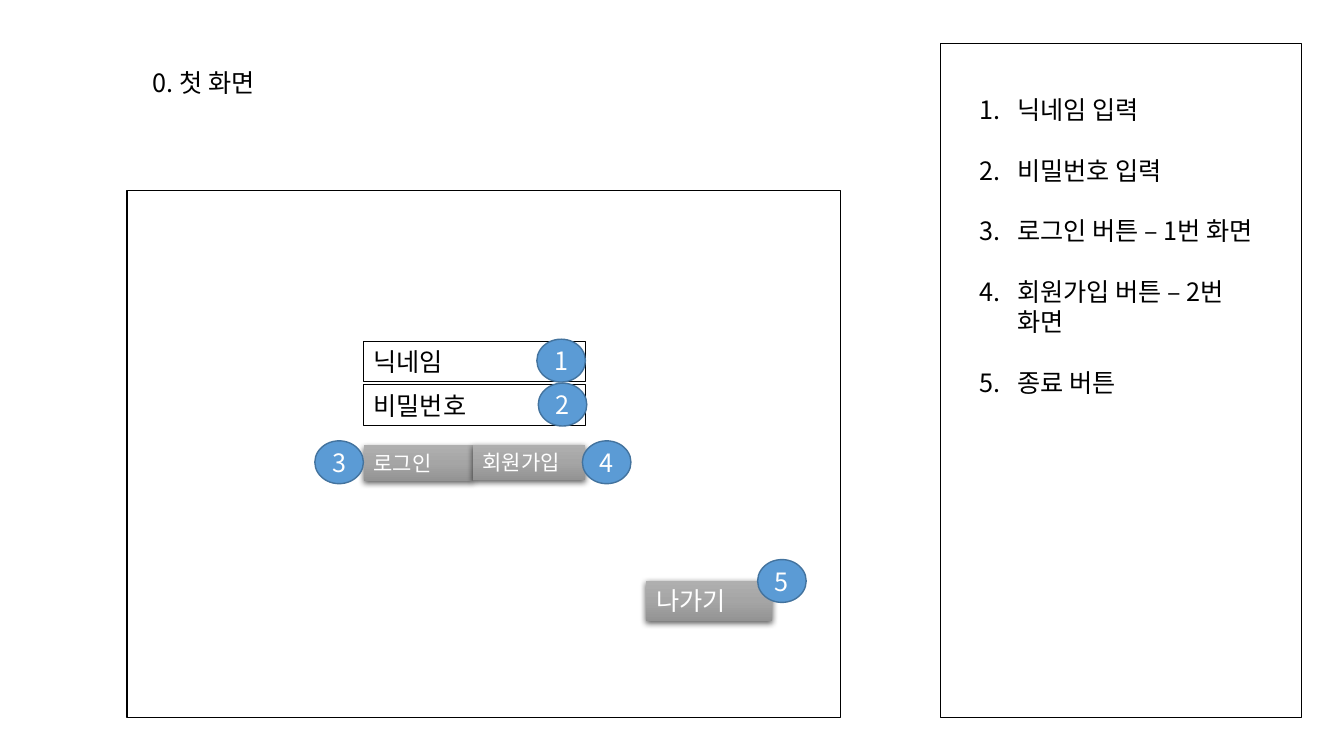
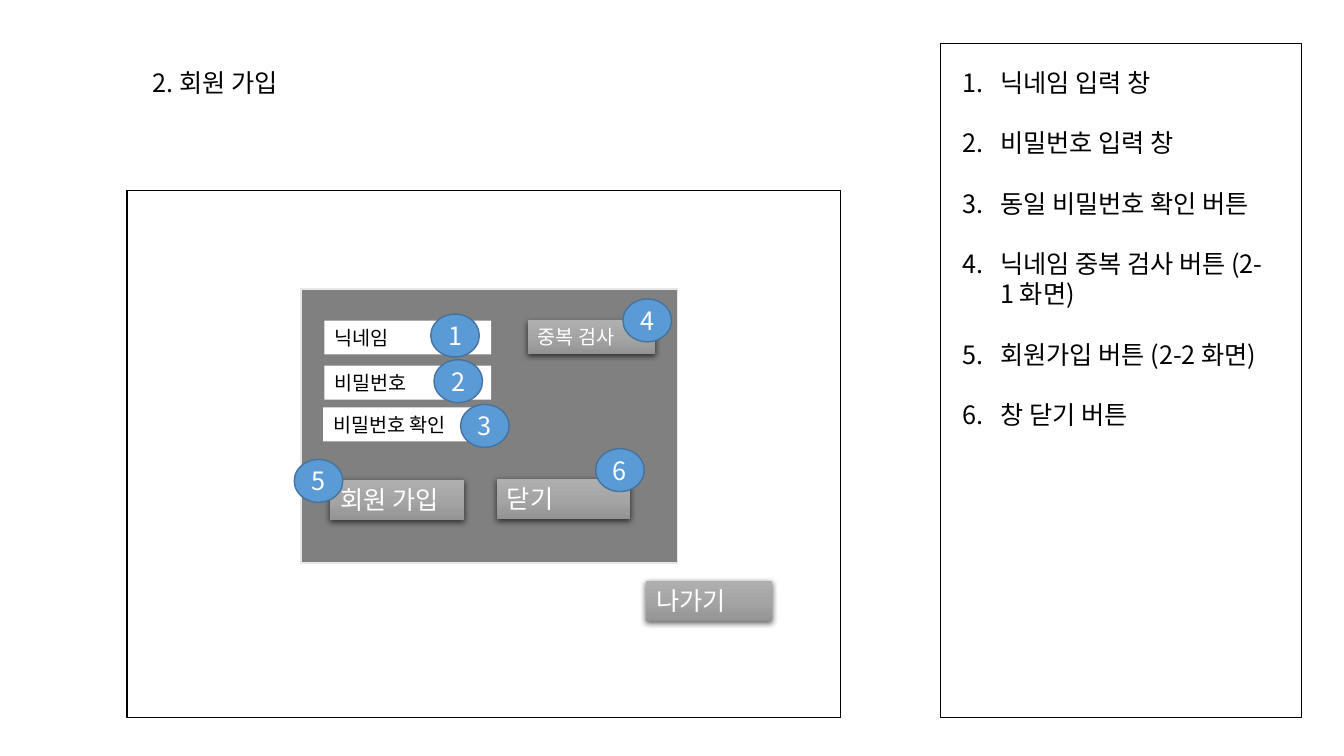
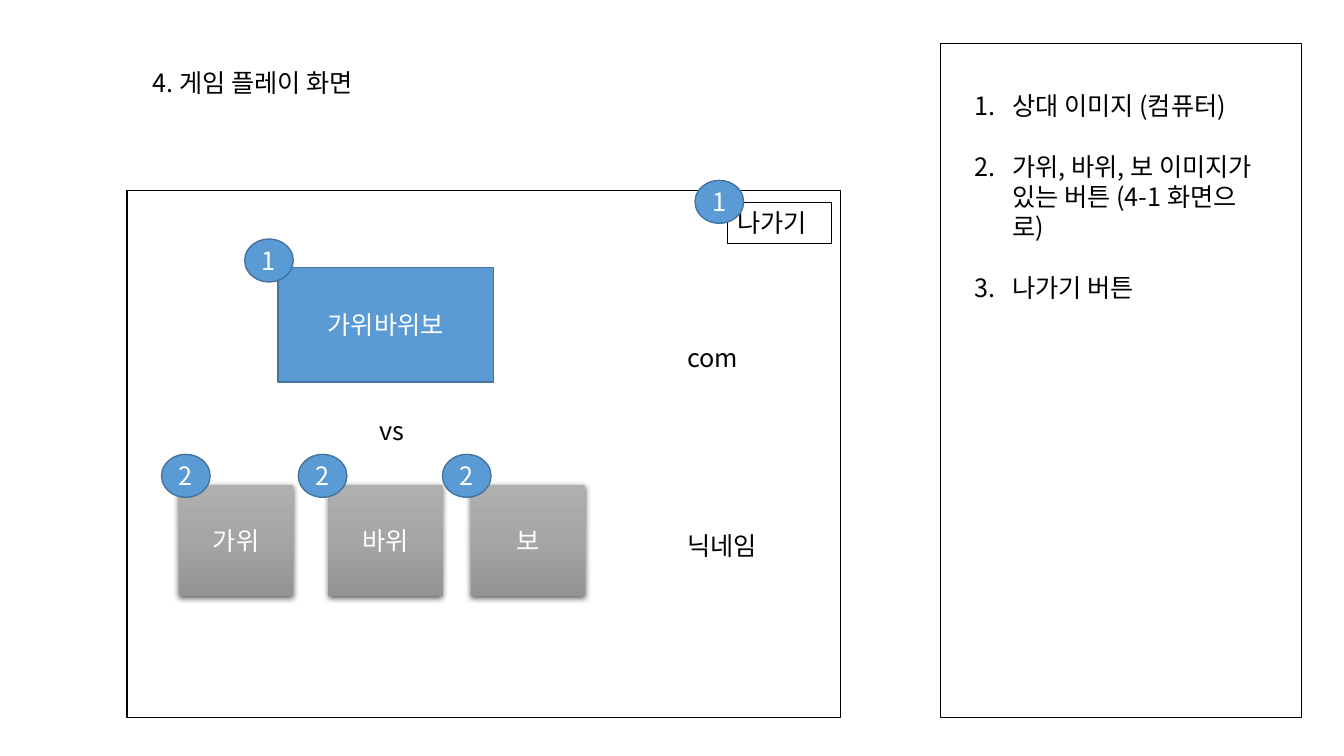
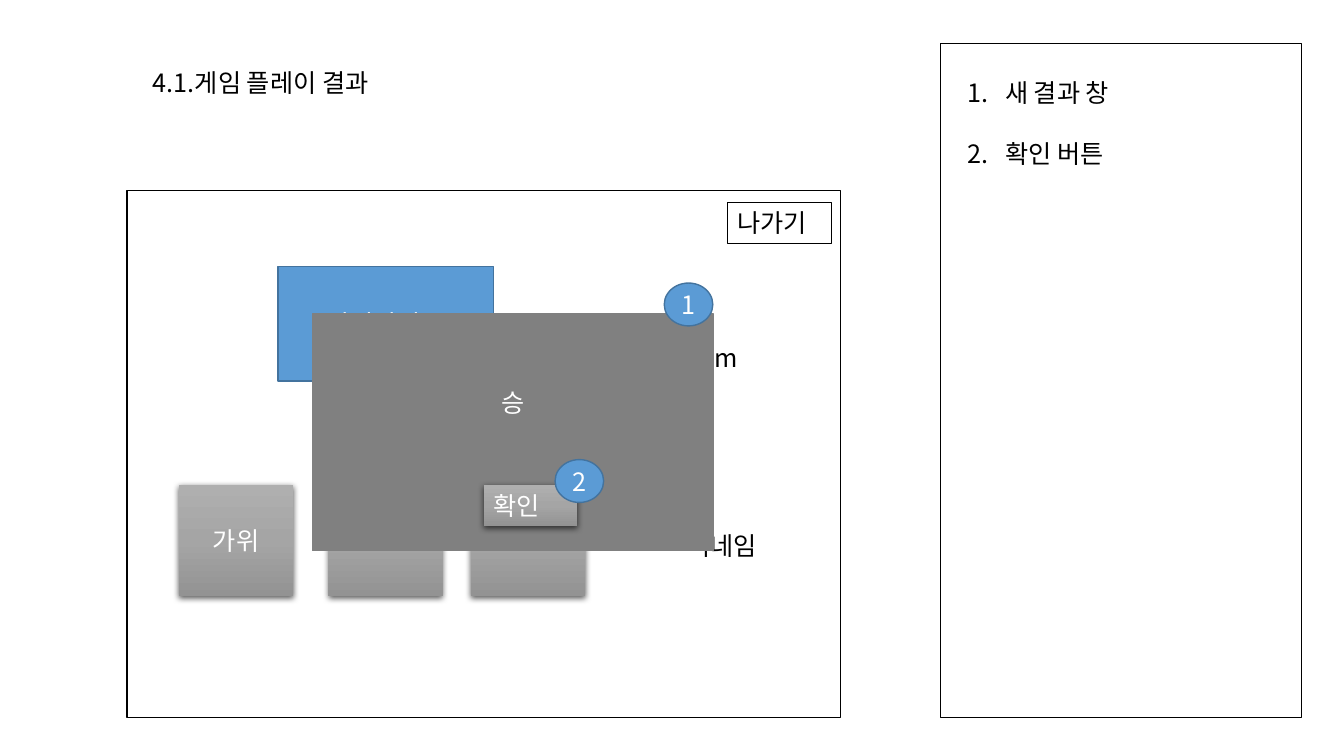
from copy import deepcopy
from lxml.etree import SubElement as Sub
from pptx import Presentation
from pptx.dml.color import RGBColor as RGB
from pptx.enum.shapes import MSO_SHAPE as Kind
from pptx.enum.text import MSO_ANCHOR as Anchor, PP_ALIGN as Align
from pptx.oxml.ns import qn
from pptx.util import Pt

FONT = "Noto Sans CJK KR"
BLACK = RGB(0x00, 0x00, 0x00)
WHITE = RGB(0xFF, 0xFF, 0xFF)
BLUE = RGB(0x5B, 0x9B, 0xD5)
NAVY = RGB(0x43, 0x73, 0x9E)
GREY = RGB(0x80, 0x80, 0x80)
PALE = RGB(0xE7, 0xE6, 0xE6)
SHADES = RGB(0xAF, 0xAF, 0xAF), RGB(0xA5, 0xA5, 0xA5), RGB(0x93, 0x93, 0x93)
LEAD = 1.2     # line height per point of text size
INDENT = 27    # hanging indent of the notes


# Text
def style(frame, size, color, align=Align.LEFT):
    frame.word_wrap = True
    for para in frame.paragraphs:
        para.alignment = align
        para.line_spacing = Pt(size * LEAD)
        for run in para.runs:
            font = run.font
            font.size, font.name = Pt(size), FONT
            font.color.rgb = color
            Sub(font._element, qn("a:ea"), typeface=FONT)


def label(slide, x, y, w, text):
    box = slide.shapes.add_textbox(Pt(x), Pt(y), Pt(w), Pt(29))
    box.text_frame.text = text
    style(box.text_frame, 18, BLACK)


def notes(slide, x, y, w, items):
    """Numbered list with one empty line's height between items."""
    box = slide.shapes.add_textbox(Pt(x), Pt(y), Pt(w), Pt(44 * len(items)))
    frame = box.text_frame
    frame.text = "\n".join(items)
    style(frame, 18, BLACK)
    for para in frame.paragraphs:
        para.space_after = Pt(18 * LEAD)
        props = para._p.get_or_add_pPr()
        props.set("marL", str(Pt(INDENT)))
        props.set("indent", str(-Pt(INDENT)))
        Sub(props, qn("a:buFont"), typeface="+mj-lt")
        Sub(props, qn("a:buAutoNum"), type="arabicPeriod")


# Shapes
def block(slide, x, y, w, h, fill=None, line=None, width=1, kind=Kind.RECTANGLE):
    shape = slide.shapes.add_shape(kind, Pt(x), Pt(y), Pt(w), Pt(h))
    shape.shadow.inherit = False
    if fill is None:
        shape.fill.background()
    else:
        shape.fill.solid()
        shape.fill.fore_color.rgb = fill
    if line is None:
        shape.line.fill.background()
    else:
        shape.line.color.rgb = line
        shape.line.width = Pt(width)
    return shape


def write(shape, text, color=WHITE, size=18, mid=False):
    frame = shape.text_frame
    frame.text = text
    frame.vertical_anchor = Anchor.MIDDLE if mid else Anchor.TOP
    style(frame, size, color, Align.CENTER if mid else Align.LEFT)


def field(slide, x, y, w, h, text, size=18, fill=None, line=BLACK):
    write(block(slide, x, y, w, h, fill, line, 0.75), text, BLACK, size)


def button(slide, x, y, w, h, text, size=18, mid=False):
    """Grey gradient block with a soft shadow below it."""
    shape = block(slide, x, y, w, h)
    fill = shape.fill
    fill.gradient()
    fill.gradient_angle = 270
    props = shape._element.spPr
    stops = props.find(".//" + qn("a:gsLst"))
    half = deepcopy(stops[0])
    half.set("pos", "50000")
    stops.insert(1, half)
    for stop, shade in zip(fill.gradient_stops, SHADES):
        stop.color.rgb = shade
    glow = Sub(props.find(qn("a:effectLst")), qn("a:outerShdw"),
               blurRad=str(Pt(4.5)), dist=str(Pt(1.5)), dir="5400000",
               algn="ctr", rotWithShape="0")
    tone = Sub(glow, qn("a:srgbClr"), val=str(BLACK))
    Sub(tone, qn("a:alpha"), val="63000")
    if text:
        write(shape, text, WHITE, size, mid)


def badges(slide, *spots):
    for text, x, y in spots:
        write(block(slide, x, y, 34.7, 30.6, BLUE, NAVY, kind=Kind.OVAL),
              text, mid=True)


# Parts shared by slides
def page(deck, title):
    slide = deck.slides.add_slide(deck.slide_layouts[6])
    block(slide, 671.8, 31, 257.8, 481.7, line=BLACK, width=0.75)
    block(slide, 90.7, 136.1, 509.8, 376.6, WHITE, BLACK, 0.75)
    label(slide, 102.2, 44.6, 185, title)
    return slide


def leave(slide):
    button(slide, 461.5, 414.7, 90, 29, "나가기")


def board(slide, top, hands):
    label(slide, 483.8, 241.2, 89, "com")
    label(slide, 483.8, 375.1, 78, "닉네임")
    write(block(slide, 198.5, top, 153.9, 81.8, BLUE, NAVY), "가위바위보", mid=True)
    for x, hand in zip((127.8, 234.6, 336.2), hands):
        button(slide, x, 346.5, 81.6, 79, hand, mid=True)
    field(slide, 519.7, 144.7, 74.6, 29, "나가기")


# Slides
def login(deck):
    slide = page(deck, "0. 첫 화면")
    for y, name in (243.7, "닉네임"), (274.9, "비밀번호"):
        field(slide, 259.7, y, 158.4, 29, name)
    button(slide, 259.7, 318.2, 78.5, 25.4, "로그인", 15)
    button(slide, 337.7, 317.7, 80.4, 25.4, "회원가입", 15)
    leave(slide)
    badges(slide, ("1", 383.5, 242.3), ("2", 384.5, 273.7), ("3", 224.9, 314.9),
           ("4", 416, 314.9), ("5", 541.2, 399.7))
    notes(slide, 692.6, 64.1, 222.5,
          ["닉네임 입력", "비밀번호 입력", "로그인 버튼 – 1번 화면",
           "회원가입 버튼 – 2번 화면", "종료 버튼"])


def signup(deck):
    slide = page(deck, "2. 회원 가입")
    leave(slide)
    block(slide, 214.9, 206.3, 268.9, 195.8, GREY, PALE)
    for x, y, w, name in ((231.8, 229, 119, "닉네임"),
                          (231.8, 261.2, 119, "비밀번호"),
                          (230.8, 291.1, 120, "비밀번호 확인")):
        field(slide, x, y, w, 24.2, name, 14, WHITE, None)
    button(slide, 235.9, 342.7, 95.5, 29, "회원 가입")
    button(slide, 355, 342, 95.2, 29, "닫기")
    button(slide, 377.1, 228.8, 90.7, 24.2, "중복 검사", 14)
    badges(slide, ("1", 307.7, 224.4), ("2", 310, 257), ("3", 329, 288.9),
           ("4", 445, 213.6), ("5", 210.2, 328.2), ("6", 425.5, 320.5))
    notes(slide, 680.4, 44.4, 237.6,
          ["닉네임 입력 창", "비밀번호 입력 창", "동일 비밀번호 확인 버튼",
           "닉네임 중복 검사 버튼 (2-1 화면)", "회원가입 버튼 (2-2 화면)",
           "창 닫기 버튼"])


def play(deck):
    slide = page(deck, "4. 게임 플레이 화면")
    notes(slide, 689, 61.2, 223.2,
          ["상대 이미지 (컴퓨터)", "가위, 바위, 보 이미지가 있는 버튼 (4-1 화면으로)",
           "나가기 버튼"])
    board(slide, 191, ("가위", "바위", "보"))
    label(slide, 264.2, 293, 45, "vs")
    badges(slide, ("2", 115.4, 324.6), ("2", 213.1, 324.6), ("2", 316.1, 324.6),
           ("1", 174.8, 170.8), ("1", 496.5, 128.9))


def result(deck):
    slide = page(deck, "4.1.게임 플레이 결과")
    board(slide, 190.3, ("가위", "", "보"))
    popup = block(slide, 223, 224.4, 286.6, 168.9, GREY, GREY)
    write(popup, "승", mid=True)
    popup.text_frame.margin_bottom = Pt(46.8)
    button(slide, 345.5, 346.5, 66.6, 29.2, "확인")
    badges(slide, ("1", 474.5, 202.2), ("2", 396.5, 328.3))
    notes(slide, 683.8, 51.8, 225.4, ["새 결과 창", "확인 버튼"])


def main():
    deck = Presentation()
    deck.slide_width, deck.slide_height = Pt(960), Pt(540)
    for build in login, signup, play, result:
        build(deck)
    deck.save("out.pptx")


main()
